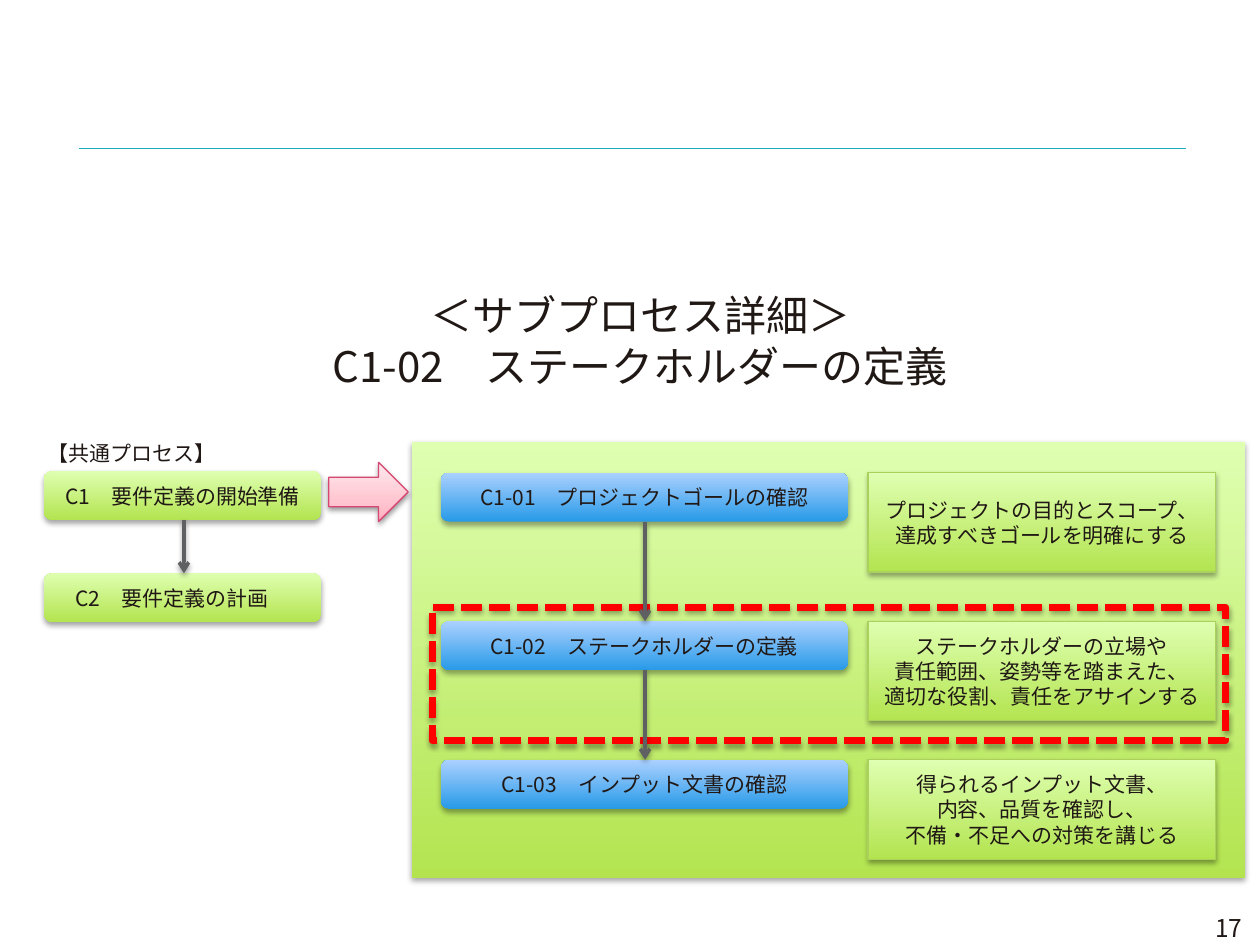
from dataclasses import dataclass

from lxml import etree
from pptx import Presentation
from pptx.dml.color import RGBColor
from pptx.enum.dml import MSO_LINE
from pptx.enum.shapes import MSO_CONNECTOR, MSO_SHAPE
from pptx.enum.text import MSO_ANCHOR, MSO_AUTO_SIZE, PP_ALIGN
from pptx.oxml.ns import qn
from pptx.util import Inches, Pt

RECTANGLE = MSO_SHAPE.RECTANGLE
ROUNDED = MSO_SHAPE.ROUNDED_RECTANGLE
RIGHT_ARROW = MSO_SHAPE.RIGHT_ARROW
STRAIGHT = MSO_CONNECTOR.STRAIGHT
SHORT_DASH = MSO_LINE.SQUARE_DOT
LEFT, CENTER, RIGHT = PP_ALIGN.LEFT, PP_ALIGN.CENTER, PP_ALIGN.RIGHT
TOP, MIDDLE = MSO_ANCHOR.TOP, MSO_ANCHOR.MIDDLE
NO_AUTOFIT = MSO_AUTO_SIZE.NONE


@dataclass(frozen=True)
class Theme:
    font: str = "Noto Sans CJK JP"
    ink: str = "201815"
    rule: str = "1BADBD"
    flow: str = "5F6062"
    highlight: str = "FF0000"
    green_edge: str = "AAD15C"
    pink_edge: str = "D64773"
    green: tuple = ((0, "B3E450"), (100, "DFFFB1"))
    blue: tuple = ((0, "289AE8"), (100, "ABD1FF"))
    pink: tuple = ((0, "FFAFBF"), (35, "FFC6D1"), (100, "FFE9ED"))
    title_size: int = 24
    number_size: int = 14
    body_size: int = 12
    leading: float = 1.2


def write_text(frame, text, *, theme, size, align=CENTER, anchor=TOP, wrap=True):
    frame.word_wrap = wrap
    frame.auto_size = NO_AUTOFIT
    frame.vertical_anchor = anchor
    frame.margin_left = frame.margin_right = Inches(0.1)
    frame.margin_top = frame.margin_bottom = Inches(0.05)
    for index, line in enumerate(text.split("\n")):
        para = frame.paragraphs[0] if index == 0 else frame.add_paragraph()
        para.alignment = align
        para.line_spacing = Pt(size * theme.leading)
        para.space_before = Pt(0)
        span = para.add_run()
        span.text = line
        span.font.name = theme.font
        span.font.size = Pt(size)
        span.font.color.rgb = RGBColor.from_string(theme.ink)
        east_asian = etree.SubElement(span.font._element, qn("a:ea"))
        east_asian.set("typeface", theme.font)


def set_effects(shape, opacity=None, distance=1.8):
    properties = shape._element.spPr
    for old in properties.findall(qn("a:effectLst")):
        properties.remove(old)
    effects = etree.SubElement(properties, qn("a:effectLst"))
    if opacity is None:
        return
    shadow = etree.SubElement(
        effects, qn("a:outerShdw"), blurRad=str(Pt(3.1)), dist=str(Pt(distance)),
        dir="5400000", rotWithShape="0")
    color = etree.SubElement(shadow, qn("a:srgbClr"), val="000000")
    etree.SubElement(color, qn("a:alpha"), val=str(opacity * 1000))


def set_gradient(shape, stops):
    shape.fill.gradient()
    shape.fill.gradient_angle = 90
    stop_list = shape._element.spPr.find(qn("a:gradFill")).find(qn("a:gsLst"))
    for old in list(stop_list):
        stop_list.remove(old)
    for position, color in stops:
        stop = etree.SubElement(stop_list, qn("a:gs"), pos=str(position * 1000))
        etree.SubElement(stop, qn("a:srgbClr"), val=color)


class SlideBuilder:
    def __init__(self, deck, theme):
        self.theme = theme
        self.slide = deck.slides.add_slide(deck.slide_layouts[5])

    def title(self, text, left, top, width, height):
        title = self.slide.shapes.title
        title.left, title.top = Inches(left), Inches(top)
        title.width, title.height = Inches(width), Inches(height)
        write_text(title.text_frame, text, theme=self.theme, size=self.theme.title_size)

    def label(self, text, left, top, width, height, **text_format):
        box = self.slide.shapes.add_textbox(
            Inches(left), Inches(top), Inches(width), Inches(height))
        write_text(box.text_frame, text, theme=self.theme, **text_format)

    def box(self, left, top, width, height, text="", preset=RECTANGLE, stops=None,
            edge=None, weight=0.75, dash=None, opacity=35, distance=1.8):
        shape = self.slide.shapes.add_shape(
            preset, Inches(left), Inches(top), Inches(width), Inches(height))
        if stops:
            set_gradient(shape, stops)
        else:
            shape.fill.background()
        if edge:
            shape.line.color.rgb = RGBColor.from_string(edge)
            shape.line.width = Pt(weight)
            if dash:
                shape.line.dash_style = dash
        else:
            shape.line.fill.background()
        set_effects(shape, opacity, distance)
        if text:
            write_text(shape.text_frame, text, theme=self.theme,
                       size=self.theme.body_size, anchor=MIDDLE)

    def line(self, start, end, color, weight):
        connector = self.slide.shapes.add_connector(
            STRAIGHT, *(Inches(value) for value in (*start, *end)))
        connector.line.color.rgb = RGBColor.from_string(color)
        connector.line.width = Pt(weight)
        set_effects(connector)
        return connector

    def flow_arrow(self, x, top, bottom):
        connector = self.line((x, top), (x, bottom), self.theme.flow, 2)
        etree.SubElement(connector.line._get_or_add_ln(), qn("a:tailEnd"), type="arrow")
        set_effects(connector, 38, 1.6)


def main():
    theme = Theme()
    deck = Presentation()
    deck.slide_width, deck.slide_height = Inches(10), Inches(7.5)
    page = SlideBuilder(deck, theme)

    page.line((0.63, 1.18), (9.41, 1.18), theme.rule, 0.25)
    page.box(3.27, 3.51, 6.61, 3.46, stops=theme.green)
    page.label("17", 8.57, 7.2, 1.39, 0.31, size=theme.number_size, align=RIGHT)
    page.title("＜サブプロセス詳細＞\nC1-02　ステークホルダーの定義", 0.59, 2.25, 8.98, 0.91)
    page.box(3.43, 4.82, 6.3, 1.06, edge=theme.highlight, weight=4, dash=SHORT_DASH)

    step_height = 0.39
    processes = ((3.74, "C1　要件定義の開始準備"), (4.55, "C2　要件定義の計画　"))
    for top, name in processes:
        page.box(0.35, top, 2.2, step_height, name, ROUNDED, theme.green)
    page.flow_arrow(1.46, processes[0][0] + step_height, processes[1][0])

    steps = (
        (3.75, "C1-01　プロジェクトゴールの確認",
         "プロジェクトの目的とスコープ、\n達成すべきゴールを明確にする"),
        (4.93, "C1-02　ステークホルダーの定義",
         "ステークホルダーの立場や\n責任範囲、姿勢等を踏まえた、\n適切な役割、責任をアサインする"),
        (6.03, "C1-03　インプット文書の確認",
         "得られるインプット文書、\n内容、品質を確認し、\n不備・不足への対策を講じる"),
    )
    for top, name, purpose in steps:
        page.box(3.5, top, 3.23, step_height, name, ROUNDED, theme.blue)
        page.box(6.89, top, 2.76, 0.79, purpose, stops=theme.green, edge=theme.green_edge)
    for upper, lower in zip(steps, steps[1:]):
        page.flow_arrow(5.12, upper[0] + step_height, lower[0])

    page.box(2.61, 3.67, 0.63, 0.47, preset=RIGHT_ARROW, stops=theme.pink,
             edge=theme.pink_edge, opacity=38, distance=1.6)
    page.label("【共通プロセス】", 0.28, 3.45, 2.05, 0.3, size=theme.body_size, align=LEFT)
    deck.save("out.pptx")


if __name__ == "__main__":
    main()
